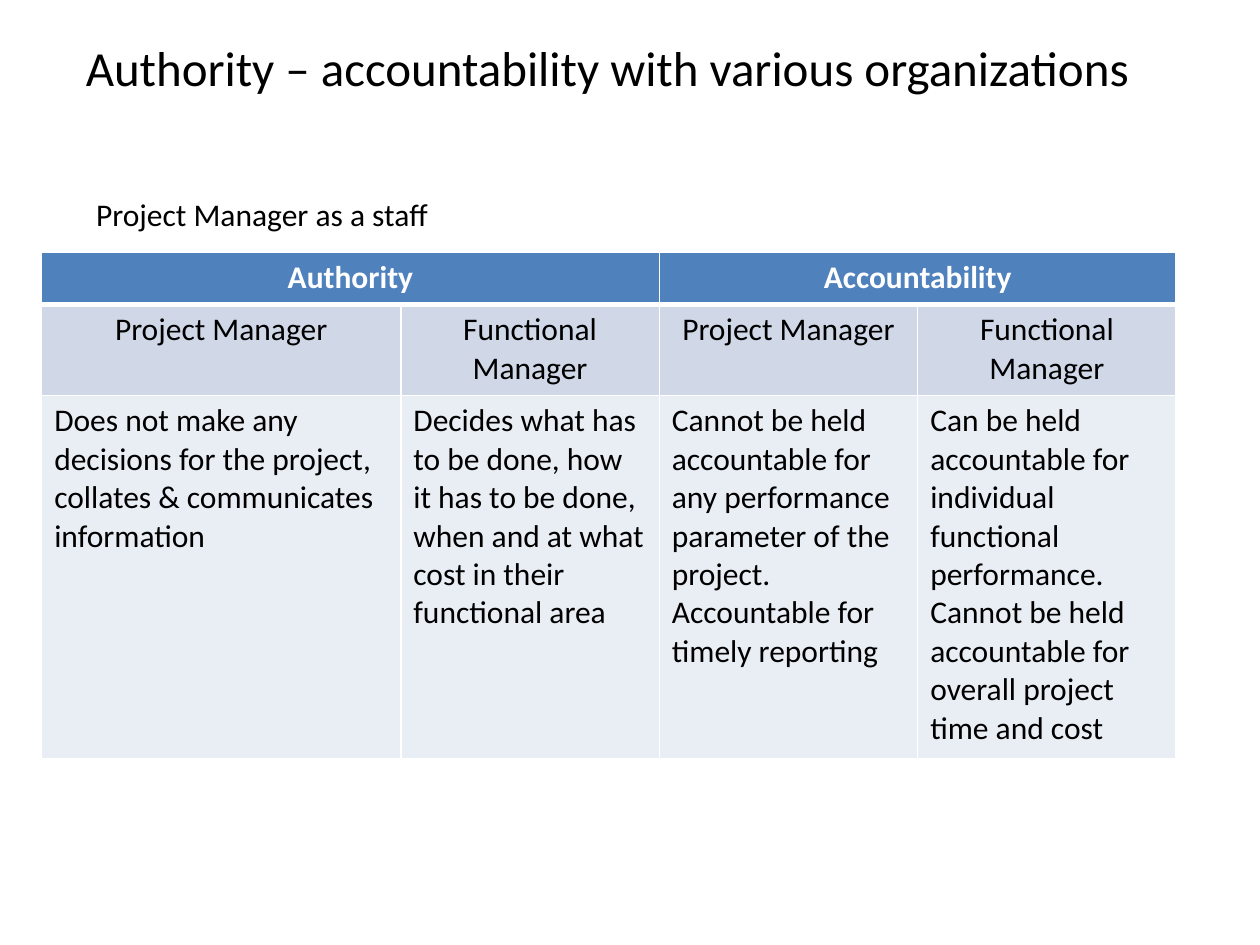
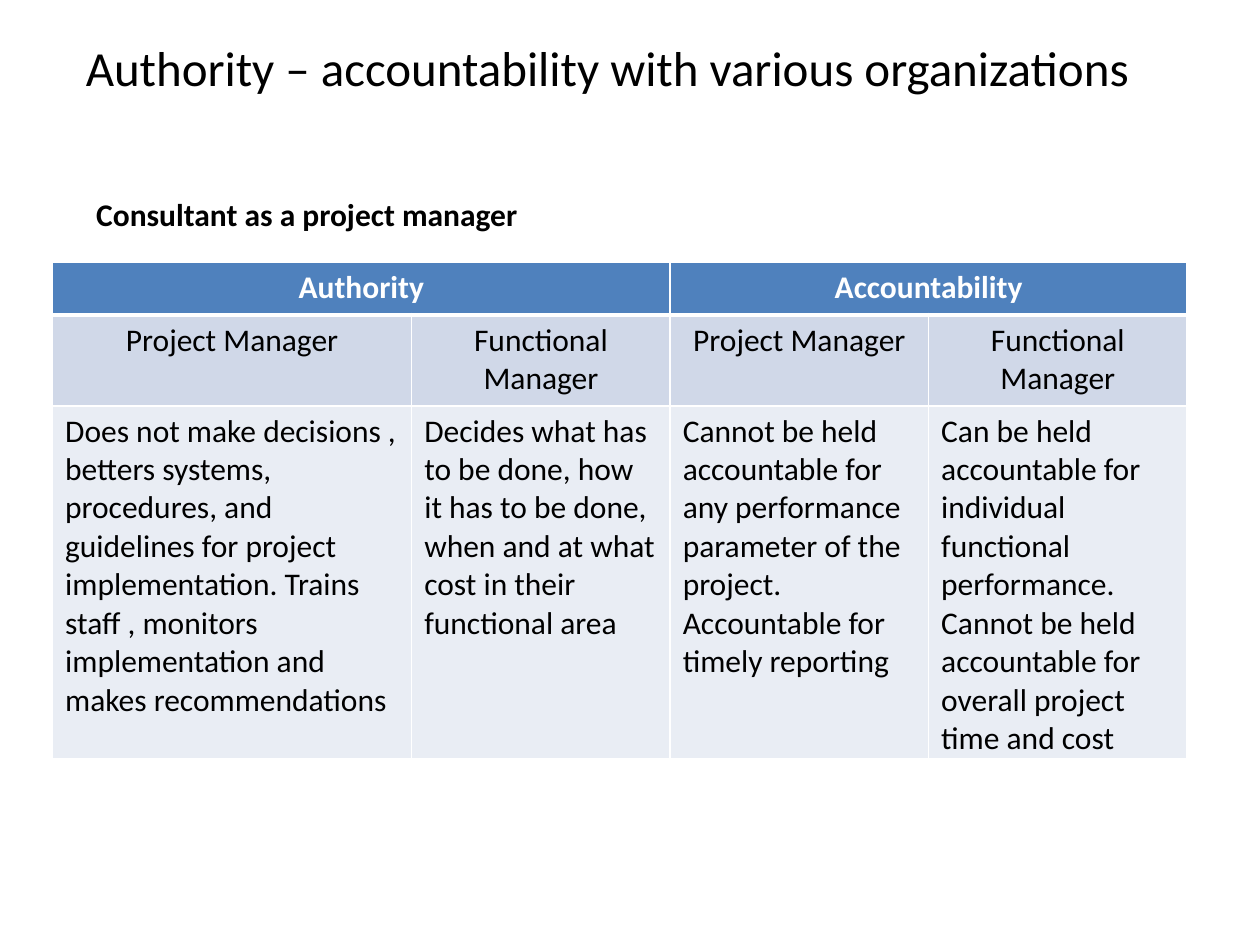
from lxml import etree
from pptx import Presentation
from pptx.dml.color import RGBColor
from pptx.enum.text import MSO_AUTO_SIZE, PP_ALIGN
from pptx.oxml.ns import qn
from pptx.util import Cm, Pt

LEFT, CENTER = PP_ALIGN.LEFT, PP_ALIGN.CENTER
FIT_SHAPE = MSO_AUTO_SIZE.SHAPE_TO_FIT_TEXT

# Content
TITLE = "Authority – accountability with various organizations"
GROUPS = ["Authority", "Accountability"]
ROLES = ["Project Manager", "Functional Manager"]
SHARED_DUTIES = [
    "Decides what has to be done, how it has to be done, when and at what "
    "cost in their functional area",
    "Cannot be held accountable for any performance parameter of the project. "
    "Accountable for timely reporting",
    "Can be held accountable for individual functional performance. "
    "Cannot be held accountable for overall project time and cost",
]
SLIDES = [
    {
        "subtitle": "Project Manager as a staff",
        "subtitle_bold": False,
        "manager_authority": "Does not make any decisions for the project, "
                             "collates & communicates information",
        "table_at": (0.84, 5.08),
        "duties_height": 7.32,
    },
    {
        "subtitle": "Consultant as a project manager",
        "subtitle_bold": True,
        "manager_authority": "Does not make decisions , betters systems, procedures, and "
                             "guidelines for project implementation. Trains staff , monitors "
                             "implementation and makes recommendations",
        "table_at": (1.06, 5.29),
        "duties_height": 6.53,
    },
]

# Shared style, lengths in centimetres
FONT = "Calibri"
BLACK = RGBColor(0x00, 0x00, 0x00)
WHITE = RGBColor(0xFF, 0xFF, 0xFF)
HEADER_BLUE = RGBColor(0x4F, 0x81, 0xBD)
ROLE_BLUE = RGBColor(0xD0, 0xD8, 0xE8)
DUTY_BLUE = RGBColor(0xE9, 0xED, 0xF4)
TITLE_AREA = (1.48, 0.64, 22.43, 1.45)
SUBTITLE_AREA = (1.69, 3.81, 21.39, 1.02)
COLUMN_WIDTHS = [7.24, 5.21, 5.21, 5.21]
HEADER_HEIGHT, ROLE_HEIGHT = 1.06, 1.83
THIN, THICK = 1, 3


def write(frame, text, size=18, color=BLACK, bold=False, align=LEFT):
    para = frame.paragraphs[0]
    para.alignment = align
    span = para.add_run()
    span.text = text
    span.font.name, span.font.size = FONT, Pt(size)
    span.font.color.rgb, span.font.bold = color, bold


def add_text(page, area, text, **style):
    box = page.shapes.add_textbox(*map(Cm, area))
    box.text_frame.word_wrap = True
    box.text_frame.auto_size = FIT_SHAPE
    write(box.text_frame, text, **style)


def set_borders(cell, top, bottom):
    """Draw white lines on the four sides; they must precede the fill."""
    properties = cell._tc.get_or_add_tcPr()
    sides = [("lnL", THIN), ("lnR", THIN), ("lnT", top), ("lnB", bottom)]
    for position, (side, width) in enumerate(sides):
        line = etree.Element(qn(f"a:{side}"), w=str(Pt(width)))
        fill = etree.SubElement(line, qn("a:solidFill"))
        etree.SubElement(fill, qn("a:srgbClr"), val=str(WHITE))
        properties.insert(position, line)


def add_duty_table(page, content):
    heights = [HEADER_HEIGHT, ROLE_HEIGHT, content["duties_height"]]
    left, top = content["table_at"]
    table = page.shapes.add_table(
        len(heights), len(COLUMN_WIDTHS), Cm(left), Cm(top),
        Cm(sum(COLUMN_WIDTHS)), Cm(sum(heights))).table
    for column, width in zip(table.columns, COLUMN_WIDTHS):
        column.width = Cm(width)
    for row, height in zip(table.rows, heights):
        row.height = Cm(height)

    # Each group heading spans one column per role
    for index in range(0, len(COLUMN_WIDTHS), len(ROLES)):
        table.cell(0, index).merge(table.cell(0, index + len(ROLES) - 1))

    headings = [text for group in GROUPS for text in (group, None)]
    duties = [content["manager_authority"], *SHARED_DUTIES]
    rows = [
        (headings, HEADER_BLUE, {"color": WHITE, "bold": True, "align": CENTER}, THIN, THICK),
        (ROLES * len(GROUPS), ROLE_BLUE, {"align": CENTER}, THICK, THIN),
        (duties, DUTY_BLUE, {}, THIN, THIN),
    ]
    for row, (texts, color, style, above, below) in enumerate(rows):
        for column, text in enumerate(texts):
            cell = table.cell(row, column)
            cell.fill.solid()
            cell.fill.fore_color.rgb = color
            set_borders(cell, above, below)
            if text:
                write(cell.text_frame, text, **style)


def main():
    deck = Presentation()
    deck.slide_width, deck.slide_height = Cm(25.4), Cm(19.05)
    blank = deck.slide_layouts[6]
    for content in SLIDES:
        page = deck.slides.add_slide(blank)
        add_duty_table(page, content)
        add_text(page, TITLE_AREA, TITLE, size=28)
        add_text(page, SUBTITLE_AREA, content["subtitle"], bold=content["subtitle_bold"])
    deck.save("out.pptx")


if __name__ == "__main__":
    main()
